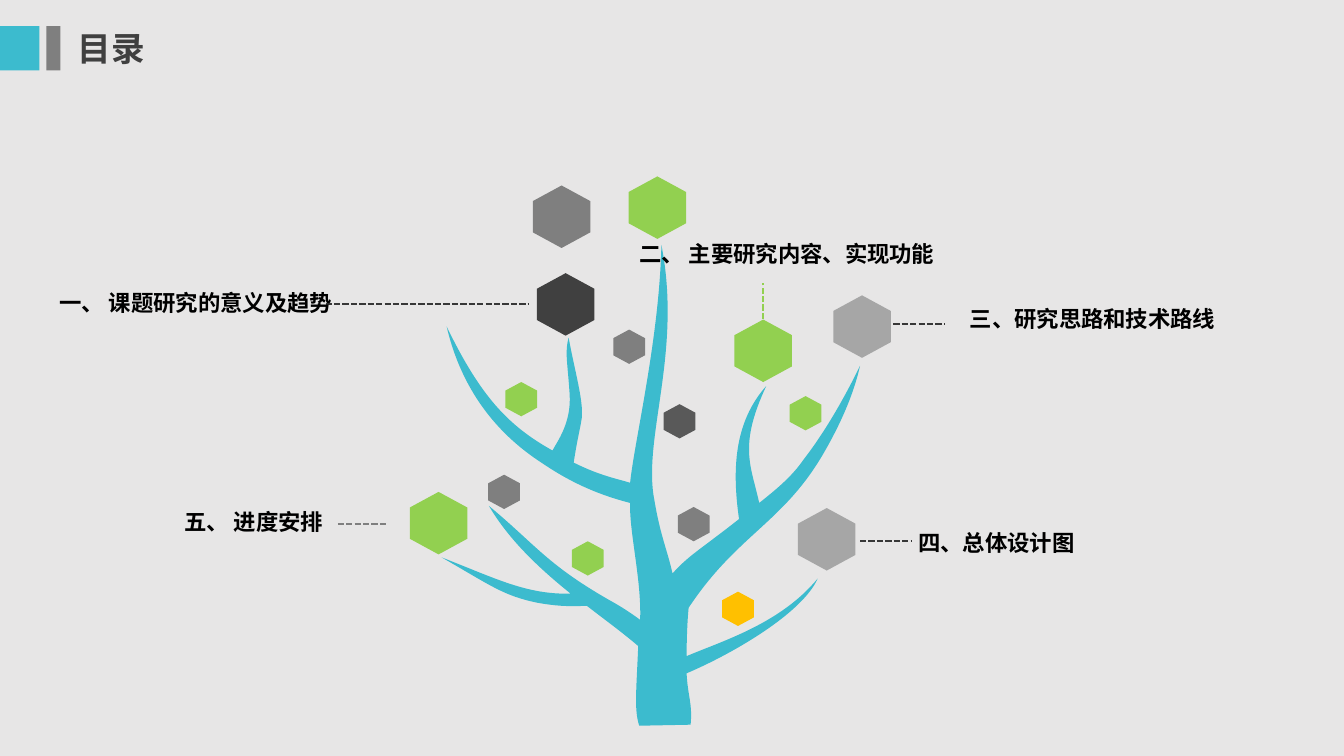
"""Build a contents slide: a tree with hexagon leaves and five labelled topics."""
from dataclasses import dataclass

from lxml import etree
from pptx import Presentation
from pptx import util as u
from pptx.dml.color import RGBColor
from pptx.enum import dml, shapes, text
from pptx.oxml import ns

WIDTH, HEIGHT = u.Inches(13.33), u.Inches(7.5)
COLUMN, ROW = WIDTH / 133.3, HEIGHT / 75
FONT = "Noto Sans CJK SC"

PAPER = RGBColor(0xE7, 0xE6, 0xE6)
TEAL = RGBColor(0x3C, 0xBB, 0xCE)
GREEN = RGBColor(0x92, 0xD0, 0x50)
AMBER = RGBColor(0xFF, 0xC0, 0x00)
BLACK = RGBColor(0x00, 0x00, 0x00)
INK = RGBColor(0x37, 0x37, 0x37)
CHARCOAL = RGBColor(0x40, 0x40, 0x40)
SLATE = RGBColor(0x59, 0x59, 0x59)
GREY = RGBColor(0x7F, 0x7F, 0x7F)
SILVER = RGBColor(0xA6, 0xA6, 0xA6)

Point = tuple[float, float]


@dataclass(frozen=True)
class Bar:
    column: float
    columns: float
    color: RGBColor


@dataclass(frozen=True)
class Leaf:
    column: float
    row: float
    color: RGBColor


@dataclass(frozen=True)
class Label:
    wording: str
    column: float
    row: float
    columns: float
    size: int = 16
    color: RGBColor = BLACK


@dataclass(frozen=True)
class Link:
    start: Point
    end: Point
    color: RGBColor = INK


BARS = [Bar(0, 3.9, TEAL), Bar(4.6, 1.4, GREY)]

LARGE, SMALL = (5.7, 6.2), (3.15, 3.4)
LEAVES = {
    LARGE: [
        Leaf(65.2, 20.6, GREEN), Leaf(85.5, 32.4, SILVER), Leaf(82, 53.5, SILVER),
        Leaf(56.1, 30.2, CHARCOAL), Leaf(43.5, 51.9, GREEN), Leaf(55.7, 21.5, GREY),
        Leaf(75.7, 34.8, GREEN),
    ],
    SMALL: [
        Leaf(73.2, 60.4, AMBER), Leaf(51.7, 39.6, GREEN), Leaf(62.4, 34.4, GREY),
        Leaf(68.8, 52, GREY), Leaf(50, 48.8, GREY), Leaf(79.9, 41, GREEN),
        Leaf(58.3, 55.4, GREEN), Leaf(67.4, 41.8, SLATE),
    ],
}

LABELS = [
    Label("目录", 6.7, 2.3, 29.5, 24, CHARCOAL),
    Label("一、 课题研究的意义及趋势", 4.9, 28.2, 31),
    Label("二、 主要研究内容、实现功能", 62.4, 23.3, 33),
    Label("三、研究思路和技术路线", 95.2, 29.8, 29),
    Label("四、总体设计图", 90.1, 52, 29),
    Label("五、 进度安排", 17.3, 49.9, 16),
]

LINKS = [
    Link((75.7, 35), (75.7, 28.1), GREEN),
    Link((32.3, 30.2), (52.5, 30.2)),
    Link((88.6, 32.1), (93.7, 32.1)),
    Link((85.3, 53.7), (90.4, 53.7)),
    Link((33.5, 52), (38.5, 52), GREY),
]

TREE_START: Point = (68.5, 71.9)
TREE_CURVES: list[tuple[Point, Point, Point]] = [
    ((63.4, 72), (63.4, 72), (63.4, 72)),
    ((62.9, 70.4), (63.1, 68.8), (63.3, 64.1)),
    ((61.8, 62.8), (60, 61.5), (58.2, 60.1)),
    ((56.2, 60.2), (55, 60.1), (53.3, 59.8)),
    ((49.9, 59.1), (48.7, 58.1), (43.8, 55.3)),
    ((49.2, 57.4), (52.2, 59), (56.6, 58.9)),
    ((53.5, 56.4), (50.5, 53.6), (48.5, 50.2)),
    ((53.2, 54.1), (54.3, 56.1), (60.9, 59.8)),
    ((61.6, 60.2), (62.4, 60.7), (63.5, 61.5)),
    ((63.5, 61.3), (63.5, 61.3), (63.5, 61.3)),
    ((63.6, 57.4), (62.4, 52.7), (62.5, 49.9)),
    ((58.6, 48.9), (55.9, 47.4), (53.7, 45.9)),
    ((48, 42.2), (45.4, 37.1), (44.3, 32.4)),
    ((47.6, 39.2), (50.3, 42.2), (54.8, 44.7)),
    ((55.2, 43.9), (56.7, 42), (56.5, 39.1)),
    ((56.3, 36), (56, 34.9), (56.4, 33.5)),
    ((57, 36.8), (57.9, 39.8), (57.7, 41.5)),
    ((57.5, 42.8), (57.3, 43.3), (56.9, 45.9)),
    ((59.5, 47.2), (61.2, 47.5), (62.5, 47.9)),
    ((62.9, 43.9), (65.4, 33.6), (65.6, 24.3)),
    ((67.7, 35), (63.7, 43.5), (64.9, 49.6)),
    ((65.5, 53.2), (66.2, 54.6), (66.7, 56.9)),
    ((68.3, 55.1), (69.5, 54.5), (73.3, 51.5)),
    ((72.6, 46.6), (72.8, 41.9), (76, 38.3)),
    ((73.2, 44.3), (74.5, 46.2), (75.3, 49.9)),
    ((77.2, 48.4), (78.6, 47.2), (79.7, 45.6)),
    ((81.1, 43.8), (83.1, 40.8), (85.3, 36.3)),
    ((84.6, 39.4), (83.2, 42.3), (81.9, 44.6)),
    ((77.8, 51.9), (73.2, 52.9), (68.3, 60.3)),
    ((68.2, 61.3), (68.1, 63.1), (68.1, 65.1)),
    ((71.6, 63.6), (77.4, 61.9), (81.1, 57.4)),
    ((79.6, 60.8), (72.8, 64.8), (68.1, 66.8)),
    ((68.2, 69), (68.7, 69.8), (68.5, 71.9)),
]


def place(column: float, row: float) -> tuple[u.Emu, u.Emu]:
    return u.Emu(round(column * COLUMN)), u.Emu(round(row * ROW))


def paint(shape, color: RGBColor) -> None:
    shape.shadow.inherit = False
    shape.fill.solid()
    shape.fill.fore_color.rgb = color
    shape.line.fill.background()


def draw_bar(page, bar: Bar) -> None:
    box = page.shapes.add_shape(
        shapes.MSO_SHAPE.RECTANGLE, *place(bar.column, 2.6), *place(bar.columns, 4.4))
    paint(box, bar.color)


def draw_outline(page, points: list[Point], color: RGBColor):
    first, *rest = [place(*point) for point in points]
    builder = page.shapes.build_freeform(*first)
    builder.add_line_segments(rest, close=True)
    outline = builder.convert_to_shape()
    paint(outline, color)
    return outline


def draw_leaf(page, leaf: Leaf, size: tuple[float, float]) -> None:
    steps = [(0, -2), (2, -1), (2, 1), (0, 2), (-2, 1), (-2, -1)]
    corners = [(leaf.column + x * size[0] / 4, leaf.row + y * size[1] / 4)
               for x, y in steps]
    draw_outline(page, corners, leaf.color)


def draw_tree(page) -> None:
    points = [TREE_START] + [point for curve in TREE_CURVES for point in curve]
    tree = draw_outline(page, points, TEAL)
    segments = list(tree._element.iter(ns.qn("a:lnTo")))
    for index in range(0, len(TREE_CURVES) * 3, 3):
        curve = etree.Element(ns.qn("a:cubicBezTo"))
        segments[index].addprevious(curve)
        for segment in segments[index:index + 3]:
            curve.append(segment[0])
            segment.getparent().remove(segment)


def draw_link(page, link: Link) -> None:
    line = page.shapes.add_connector(
        shapes.MSO_CONNECTOR.STRAIGHT, *place(*link.start), *place(*link.end))
    line.line.color.rgb = link.color
    line.line.width = u.Pt(1.5)
    line.line.dash_style = dml.MSO_LINE.SQUARE_DOT
    etree.SubElement(line._element.spPr, ns.qn("a:effectLst"))


def draw_label(page, label: Label) -> None:
    box = page.shapes.add_textbox(
        *place(label.column, label.row), *place(label.columns, label.size * 0.22))
    frame = box.text_frame
    frame.word_wrap = True
    frame.auto_size = text.MSO_AUTO_SIZE.SHAPE_TO_FIT_TEXT
    frame.text = label.wording
    span = frame.paragraphs[0].runs[0]
    span.font.size, span.font.bold, span.font.name = u.Pt(label.size), True, FONT
    span.font.color.rgb = label.color
    etree.SubElement(span.font._element, ns.qn("a:ea"), typeface=FONT)


def main() -> None:
    deck = Presentation()
    deck.slide_width, deck.slide_height = WIDTH, HEIGHT
    page = deck.slides.add_slide(deck.slide_layouts[6])
    page.background.fill.solid()
    page.background.fill.fore_color.rgb = PAPER
    for bar in BARS:
        draw_bar(page, bar)
    for link in LINKS:
        draw_link(page, link)
    draw_tree(page)
    for size, leaves in LEAVES.items():
        for leaf in leaves:
            draw_leaf(page, leaf, size)
    for label in LABELS:
        draw_label(page, label)
    deck.save("out.pptx")


if __name__ == "__main__":
    main()
